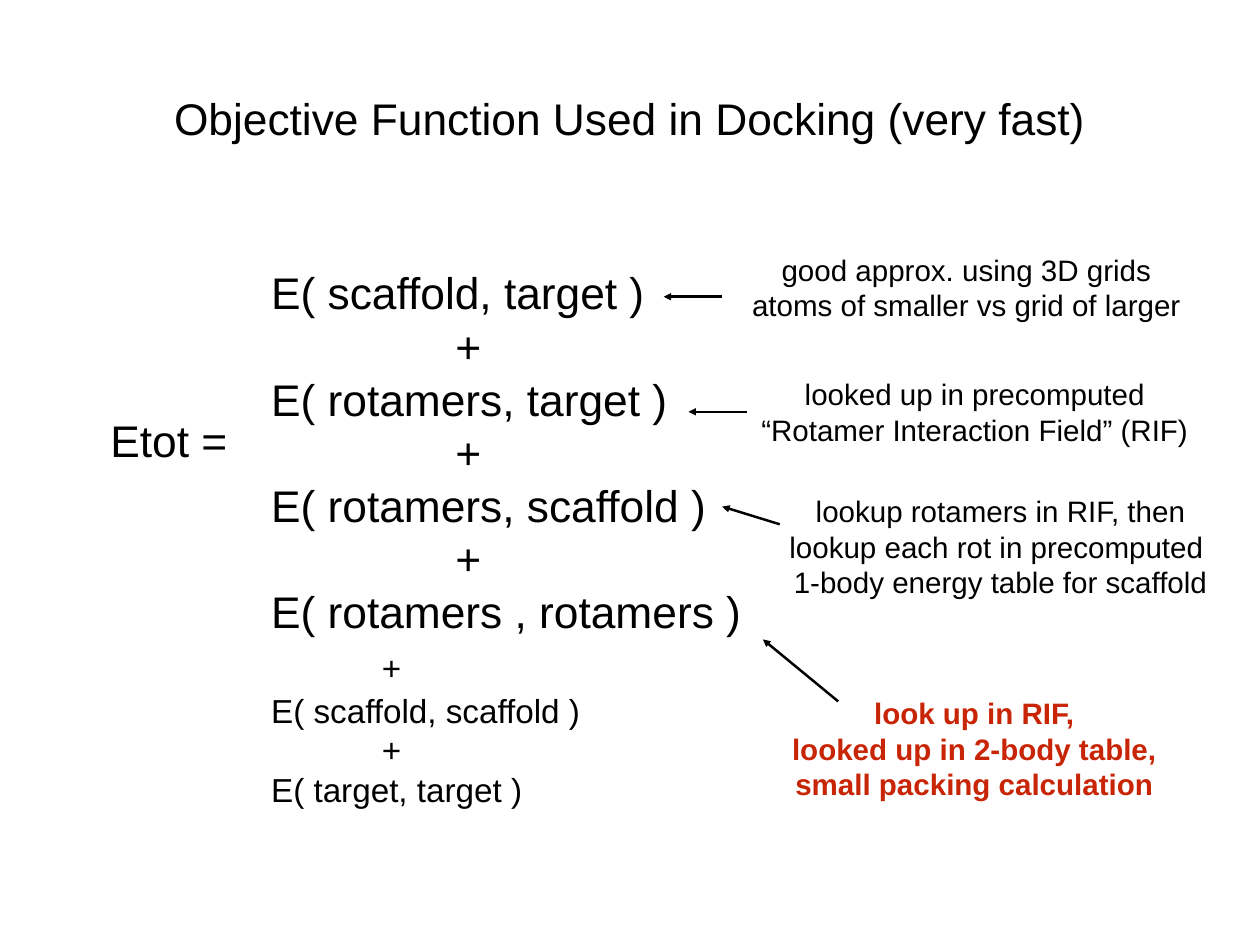
from lxml.etree import SubElement
from pptx import Presentation
from pptx.dml.color import RGBColor
from pptx.enum.shapes import MSO_CONNECTOR
from pptx.enum.text import MSO_ANCHOR, MSO_AUTO_SIZE, PP_ALIGN
from pptx.oxml.ns import qn
from pptx.util import Inches, Pt

BLACK = "000000"
RED = "C82506"


def colour(value):
    return RGBColor.from_string(value)


class SlideBuilder:
    font = "Arial"
    inset = Inches(0.06)

    def __init__(self, slide):
        self.slide = slide

    def fill_text(self, shape, lines, size, ink=BLACK, bold=False, align=PP_ALIGN.CENTER):
        frame = shape.text_frame
        frame.text = "\n".join(lines)
        frame.word_wrap = True
        frame.auto_size = MSO_AUTO_SIZE.NONE
        frame.vertical_anchor = MSO_ANCHOR.MIDDLE
        frame.margin_left = frame.margin_right = self.inset
        frame.margin_top = frame.margin_bottom = self.inset
        for paragraph in frame.paragraphs:
            paragraph.alignment = align
            for run in paragraph.runs:
                run.font.name = self.font
                run.font.size = Pt(size)
                run.font.bold = bold
                run.font.color.rgb = colour(ink)
        return frame.paragraphs

    def title(self, text, left, top, width, height):
        title = self.slide.shapes.title
        title.left, title.top = Inches(left), Inches(top)
        title.width, title.height = Inches(width), Inches(height)
        self.fill_text(title, [text], 36)

    def text(self, lines, left, top, width, height, size=24, **style):
        box = self.slide.shapes.add_textbox(
            Inches(left), Inches(top), Inches(width), Inches(height))
        return self.fill_text(box, lines, size, **style)

    def energy_sum(self, main_terms, minor_terms, left, top, width, height):
        terms = main_terms + minor_terms
        lines = " + ".join(["{}"] * len(terms)).format(*terms).split(" + ")
        lines = [line for term in terms for line in ("+", term)][1:]
        paragraphs = self.text(lines, left, top, width, height, size=36, align=PP_ALIGN.LEFT)
        first_minor = 2 * len(main_terms) - 1
        for index, paragraph in enumerate(paragraphs):
            minor = index >= first_minor
            if minor:
                paragraph.runs[0].font.size = Pt(27)
            if index % 2:
                indent = Inches(1.25 if minor else 2.08)
                paragraph._p.get_or_add_pPr().set("marL", str(indent))
        paragraphs[first_minor].space_before = Pt(8)
        paragraphs[first_minor].space_after = Pt(2)

    def arrow(self, start, end):
        arrow = self.slide.shapes.add_connector(
            MSO_CONNECTOR.STRAIGHT, *(Inches(value) for value in start + end))
        arrow.line.color.rgb = colour(BLACK)
        arrow.line.width = Pt(2)
        properties = arrow._element.spPr
        SubElement(properties.find(qn("a:ln")), qn("a:tailEnd"), type="triangle")
        SubElement(properties, qn("a:effectLst"))


def main():
    deck = Presentation()
    deck.slide_width, deck.slide_height = Inches(14.22), Inches(10.67)
    docking = SlideBuilder(deck.slides.add_slide(deck.slide_layouts[5]))

    docking.title("Objective Function Used in Docking (very fast)", 1.83, 0.98, 10.55, 0.71)
    docking.text(["Etot = "], 1.18, 4.61, 1.59, 0.71, size=36)
    docking.energy_sum(
        ["E( scaffold, target )", "E( rotamers, target )",
         "E( rotamers, scaffold )", "E( rotamers , rotamers )"],
        ["E( scaffold, scaffold )", "E( target, target )"],
        3, 2.96, 5.52, 6.22)

    for start, end in [((8.15, 3.35), (7.49, 3.35)), ((8.43, 4.65), (7.77, 4.65)),
                       ((8.8, 5.92), (8.15, 5.72)), ((9.46, 7.92), (8.61, 7.22))]:
        docking.arrow(start, end)

    docking.text(["good approx. using 3D grids", "atoms of smaller vs grid of larger"],
                 8.4, 2.78, 5.01, 0.92)
    docking.text(["looked up in precomputed", "“Rotamer Interaction Field” (RIF)"],
                 8.53, 4.19, 4.94, 0.92)
    docking.text(["lookup rotamers in RIF, then", "lookup each rot in precomputed ",
                  "1-body energy table for scaffold"], 8.75, 5.51, 5.08, 1.32)
    docking.text(["look up in RIF,", "looked up in 2-body table,", "small packing calculation"],
                 8.83, 7.79, 4.33, 1.32, ink=RED, bold=True)

    deck.save("out.pptx")


if __name__ == "__main__":
    main()
